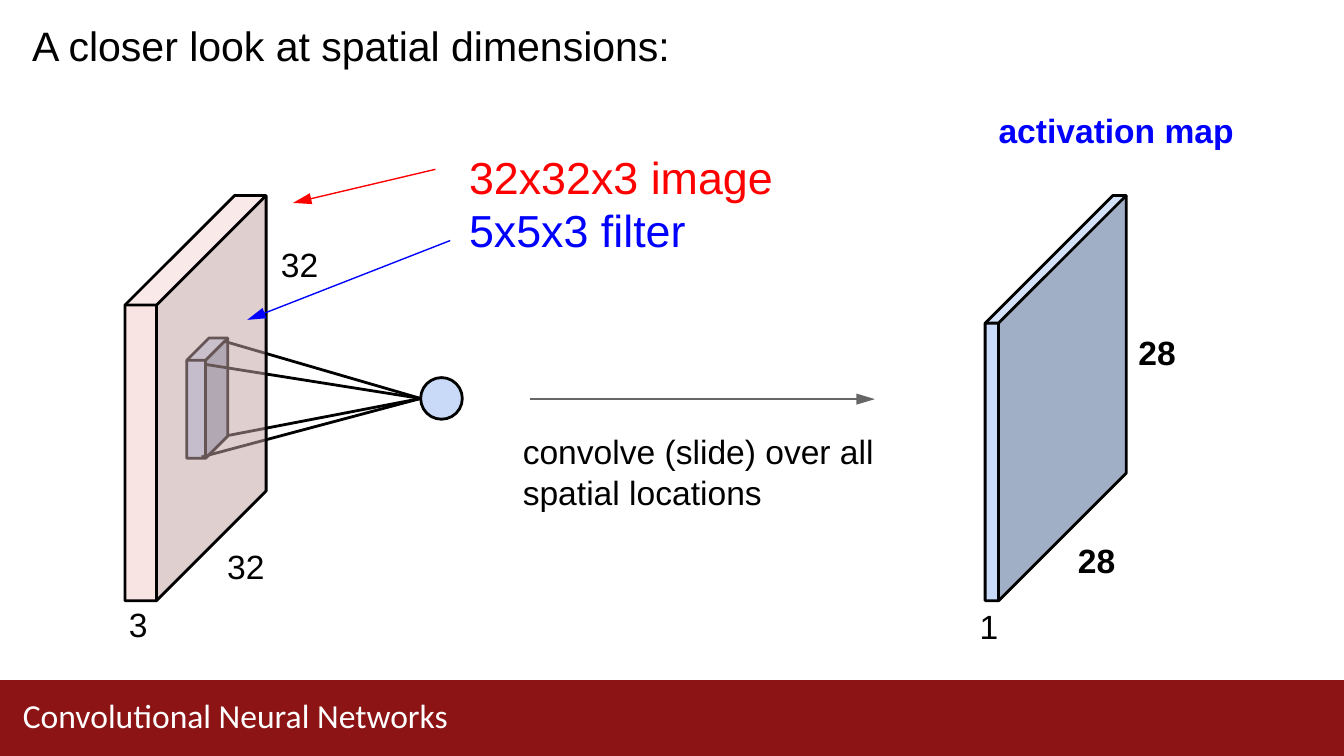
from lxml.etree import SubElement
from pptx import Presentation
from pptx.dml.color import RGBColor
from pptx.enum.shapes import MSO_CONNECTOR, MSO_SHAPE
from pptx.enum.text import MSO_ANCHOR, MSO_AUTO_SIZE, PP_ALIGN
from pptx.oxml.ns import qn
from pptx.util import Inches, Pt

BLACK = RGBColor(0x00, 0x00, 0x00)
WHITE = RGBColor(0xFF, 0xFF, 0xFF)
RED = RGBColor(0xFF, 0x00, 0x00)
BLUE = RGBColor(0x00, 0x00, 0xFF)
GRAY = RGBColor(0x66, 0x66, 0x66)
MAROON = RGBColor(0x8C, 0x14, 0x14)
PALE_BLUE = RGBColor(0xC8, 0xDA, 0xF7)
# Front, side and top face of a block
BLUE_FACES = (PALE_BLUE, RGBColor(0xA0, 0xAE, 0xC6), RGBColor(0xD3, 0xE1, 0xF9))
PINK_FACES = (RGBColor(0xF4, 0xCC, 0xCC), RGBColor(0xC3, 0xA3, 0xA3),
              RGBColor(0xF6, 0xD6, 0xD6))

# The slide is a grid of square cells
COLUMNS, ROWS = 100, 56.25


def cells(count):
    return Inches(count / 10)


def style_outline(line, color=BLACK, width=1.5):
    line.color.rgb = color
    line.width = Pt(width)


def write_spans(para, spans, size=18, font="Arial", bold=False, line_spacing=None):
    """Fill a paragraph with (text, color) spans in one format."""
    if line_spacing:
        para.line_spacing = line_spacing
    for text, color in spans:
        span = para.add_run()
        span.text = text
        span.font.color.rgb = color
        for name, value in {"size": Pt(size), "name": font, "bold": bold}.items():
            setattr(span.font, name, value)


def prepare_frame(box, top_margin=0.2):
    frame = box.text_frame
    settings = {"word_wrap": True, "auto_size": MSO_AUTO_SIZE.NONE,
                "vertical_anchor": MSO_ANCHOR.TOP, "margin_left": cells(0.1),
                "margin_right": 0, "margin_top": cells(top_margin), "margin_bottom": 0}
    for name, value in settings.items():
        setattr(frame, name, value)
    return frame


def add_text(page, place, spans, top_margin=0.2, **text_format):
    box = page.shapes.add_textbox(*map(cells, place))
    frame = prepare_frame(box, top_margin)
    write_spans(frame.paragraphs[0], spans, **text_format)
    return frame


def add_outline(page, *contours):
    """Build a freeform from (points, closed) contours."""
    builder = None
    for points, closed in contours:
        start, *rest = [tuple(map(cells, point)) for point in points]
        if builder is None:
            builder = page.shapes.build_freeform(*start)
        else:
            builder.move_to(*start)
        builder.add_line_segments(rest, close=closed)
    shape = builder.convert_to_shape()
    shape.shadow.inherit = False
    return shape


def add_face(page, points, color, opacity):
    face = add_outline(page, (points, True))
    face.fill.solid()
    face.fill.fore_color.rgb = color
    face.line.fill.background()
    if opacity < 100:
        tint = face.fill._xPr.find(qn("a:solidFill"))[0]
        SubElement(tint, qn("a:alpha"), val=str(opacity * 1000))


def add_block(page, left, top, width, height, depth, colors, opacity=100):
    """Draw a block whose depth runs up and right at 45 degrees."""
    right, bottom = left + width, top + height
    front = [(left, top), (right, top), (right, bottom), (left, bottom)]
    back = [(x + depth, y - depth) for x, y in front]
    side = [front[1], back[1], back[2], front[2]]
    roof = [front[0], back[0], back[1], front[1]]
    for points, color in zip((front, side, roof), colors):
        add_face(page, points, color, opacity)
    silhouette = [front[0], back[0], back[1], back[2], front[2], front[3]]
    edges = add_outline(page, (silhouette, True),
                        ([front[0], front[1], back[1]], False),
                        ([front[1], front[2]], False))
    edges.fill.background()
    style_outline(edges.line)


def add_line(page, start, end, color=BLACK, width=1.5, arrow=False):
    line = page.shapes.add_connector(MSO_CONNECTOR.STRAIGHT,
                                     *map(cells, (*start, *end)))
    style_outline(line.line, color, width)
    if arrow:
        SubElement(line.line._get_or_add_ln(), qn("a:tailEnd"),
                   type="triangle", w="med", len="lg")
    SubElement(line._element.spPr, qn("a:effectLst"))


def add_solid(page, kind, place, color):
    shape = page.shapes.add_shape(kind, *map(cells, place))
    shape.shadow.inherit = False
    shape.fill.solid()
    shape.fill.fore_color.rgb = color
    shape.line.fill.background()
    return shape


def add_title(page, place, text):
    title = page.shapes.title
    for name, value in zip(("left", "top", "width", "height"), place):
        setattr(title, name, cells(value))
    para = prepare_frame(title).paragraphs[0]
    para.alignment = PP_ALIGN.LEFT
    write_spans(para, [(text, BLACK)], size=22)


def main():
    deck = Presentation()
    deck.slide_width, deck.slide_height = cells(COLUMNS), cells(ROWS)
    page = deck.slides.add_slide(deck.slide_layouts[5])

    # Footer band and title
    band_top = 50.6
    add_solid(page, MSO_SHAPE.RECTANGLE, (0, band_top, COLUMNS, ROWS - band_top), MAROON)
    add_title(page, (2.3, 1.3, 55, 3.9), "A closer look at spatial dimensions:")

    # Filter, neuron and the rays between them
    add_block(page, 13.9, 26.8, 1.4, 7.3, 1.65, BLUE_FACES)
    neuron = add_solid(page, MSO_SHAPE.OVAL, (31.3, 28.1, 3.1, 3.1), PALE_BLUE)
    style_outline(neuron.line)
    for corner in ((15, 34), (15.2, 27.1), (16.7, 25.4), (17, 32.4)):
        add_line(page, corner, (31.3, 29.65))

    # Image volume over the filter, and the activation map
    add_block(page, 9.3, 22.7, 2.35, 22, 8.15, PINK_FACES, opacity=52)
    add_block(page, 73.3, 24.05, 1, 20.65, 9.5, BLUE_FACES)

    # Names of the image and the filter, with the image height below
    frame = add_text(page, (20.8, 10.6, 36.9, 10.4),
                     [("32x32x3 image ", RED), ("5x5x3 filter", BLUE)],
                     top_margin=0.6, size=24, line_spacing=Pt(28.5))
    frame.paragraphs[0]._p.get_or_add_pPr().set("marL", str(cells(14)))
    write_spans(frame.add_paragraph(), [("32", BLACK)], line_spacing=Pt(14.8))

    # Arrows
    for start, end, color in (((32.4, 12.6), (21.8, 15.1), RED),
                              ((33.5, 17.9), (18.4, 23.8), BLUE),
                              ((39.4, 29.7), (65.1, 29.7), GRAY)):
        add_line(page, start, end, color, width=0.75, arrow=True)

    # Captions and sizes
    for text, place, color, bold in (
            ("32", (16.8, 40.4, 3.1, 3.3), BLACK, False),
            ("3", (9.5, 44.7, 1.7, 3.3), BLACK, False),
            ("convolve (slide) over all spatial locations",
             (38.8, 31.9, 26.8, 6.3), BLACK, False),
            ("activation map", (74.2, 8, 18, 3.3), BLUE, True),
            ("1", (72.8, 44.9, 1.7, 3.3), BLACK, False),
            ("28", (80.1, 40, 3.1, 3.3), BLACK, True),
            ("28", (84.6, 24.5, 3.1, 3.3), BLACK, True)):
        add_text(page, place, [(text, color)], bold=bold)

    # Footer text
    add_text(page, (1.6, 51.8, 51.4, 2.9), [("Convolutional Neural Networks", WHITE)],
             top_margin=0, font="Calibri", line_spacing=Pt(20.9))

    deck.save("out.pptx")


if __name__ == "__main__":
    main()
